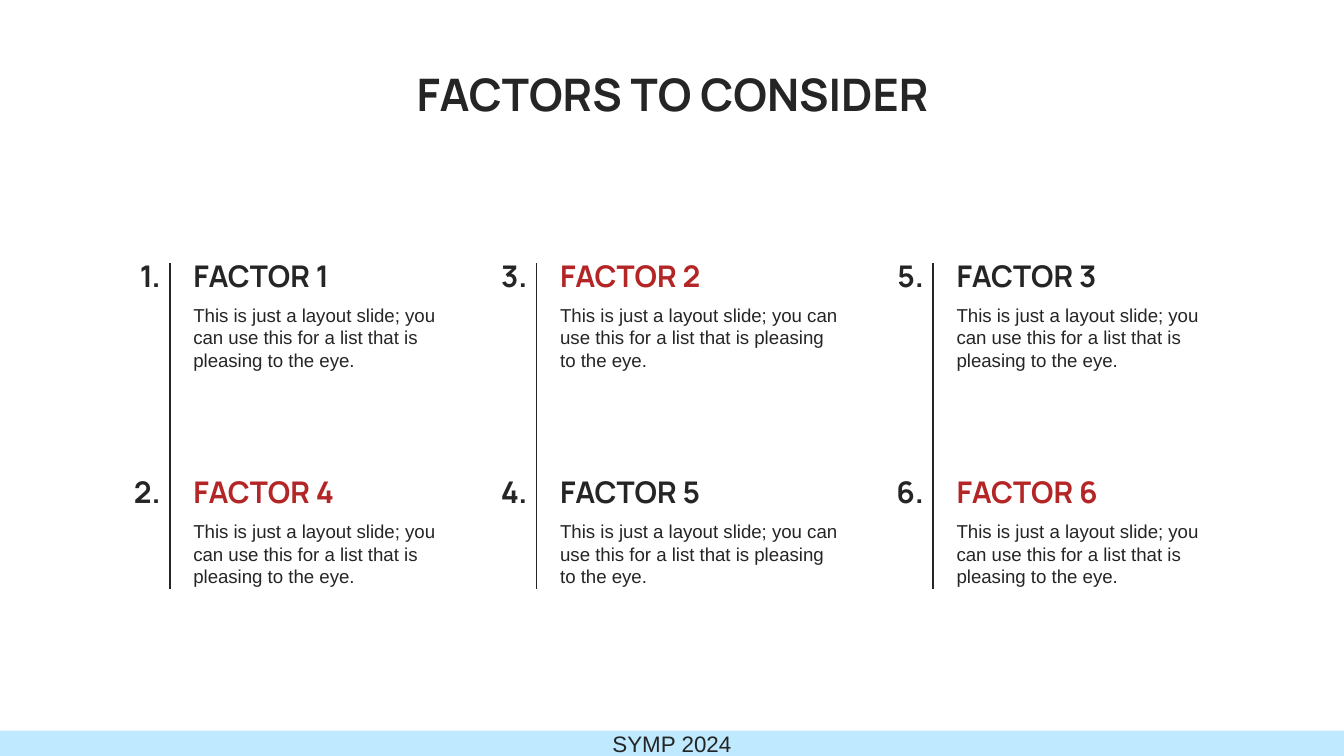
import pptx
import pptx.util
import pptx.dml.color
import pptx.enum.shapes
import pptx.enum.text
import pptx.oxml
import pptx.oxml.ns

Pt = pptx.util.Pt
RGB = pptx.dml.color.RGBColor
ALIGN = pptx.enum.text.PP_ALIGN
ANCHOR = pptx.enum.text.MSO_ANCHOR

INK = RGB(0x25, 0x25, 0x25)
RED = RGB(0xB4, 0x25, 0x26)
SKY = RGB(0xBE, 0xE9, 0xFE)

TITLE = "FACTORS TO CONSIDER"
FOOTER = "SYMP 2024"
BODY = ("This is just a layout slide; you can use this for a list "
        "that is pleasing to the eye.")
# One row of headings per line, from left to right
ROWS = [
    [("FACTOR 1", INK), ("FACTOR 2", RED), ("FACTOR 3", INK)],
    [("FACTOR 4", RED), ("FACTOR 5", INK), ("FACTOR 6", RED)],
]

WIDE, HIGH = 720, 405
COLS = [(96.5, 153.4), (293, 165), (505.4, 153.4)]  # left, body width
TOP, STEP = 134, 116
HEAD_W, HEAD_H = 153.4, 30.2
BODY_DY, BODY_H = 21.6, 50.4
NUM_DX, NUM_W = -39.3, 36
RULE_DX, RULE_TOP, RULE_END = -5.5, 141.1, 315.4
BAR_H = 13.6
PAD = 7.2

HEAD = {"name": "Manrope", "size": Pt(16), "bold": True}
MAIN = {**HEAD, "size": Pt(24)}
TEXT = {"name": "Arial", "size": Pt(10), "bold": False}
FOOT = {**TEXT, "size": Pt(12)}


def write(shape, text, font, color=INK, align=ALIGN.LEFT,
          anchor=ANCHOR.BOTTOM, pad=PAD, gap=None):
    frame = shape.text_frame
    frame.text = text
    look = {"word_wrap": True, "vertical_anchor": anchor,
            "auto_size": pptx.enum.text.MSO_AUTO_SIZE.NONE}
    for side in ("left", "top", "right", "bottom"):
        look["margin_" + side] = Pt(pad)
    for key, val in look.items():
        setattr(frame, key, val)
    para = frame.paragraphs[0]
    para.alignment = align
    if gap:
        para.line_spacing = gap
    run = para.runs[0]
    for key, val in font.items():
        setattr(run.font, key, val)
    run.font.color.rgb = color


def label(slide, box, text, font, **look):
    shape = slide.shapes.add_textbox(*map(Pt, box))
    write(shape, text, font, **look)


def rule(slide, x):
    line = slide.shapes.add_connector(
        pptx.enum.shapes.MSO_CONNECTOR.STRAIGHT,
        Pt(x), Pt(RULE_TOP), Pt(x), Pt(RULE_END))
    line.line.color.rgb = INK
    line.line.width = Pt(0.75)
    props = line._element.spPr
    props.append(pptx.oxml.parse_xml(
        "<a:effectLst %s/>" % pptx.oxml.ns.nsdecls("a")))


def main():
    deck = pptx.Presentation()
    deck.slide_width, deck.slide_height = Pt(WIDE), Pt(HIGH)
    slide = deck.slides.add_slide(deck.slide_layouts[5])

    bar = slide.shapes.add_shape(
        pptx.enum.shapes.MSO_SHAPE.RECTANGLE,
        0, Pt(HIGH - BAR_H), Pt(WIDE), Pt(BAR_H))
    bar.shadow.inherit = False
    bar.fill.solid()
    bar.fill.fore_color.rgb = SKY
    bar.line.fill.background()
    write(bar, FOOTER, FOOT, align=ALIGN.CENTER,
          anchor=ANCHOR.MIDDLE, pad=0)

    title = slide.shapes.title
    place = {"left": 172, "top": 21.6, "width": 376.6, "height": 50.4}
    for key, val in place.items():
        setattr(title, key, Pt(val))
    write(title, TITLE, MAIN, align=ALIGN.CENTER)

    for col, (x, wide) in enumerate(COLS):
        for row, heads in enumerate(ROWS):
            y = TOP + row * STEP
            name, color = heads[col]
            num = col * len(ROWS) + row + 1
            label(slide, (x, y + BODY_DY, wide, BODY_H), BODY, TEXT,
                  anchor=ANCHOR.TOP, gap=Pt(12))
            label(slide, (x, y, HEAD_W, HEAD_H), name, HEAD, color=color)
            label(slide, (x + NUM_DX, y, NUM_W, HEAD_H), f"{num}.", HEAD,
                  align=ALIGN.RIGHT)
        rule(slide, x + RULE_DX)

    deck.save("out.pptx")


if __name__ == "__main__":
    main()
